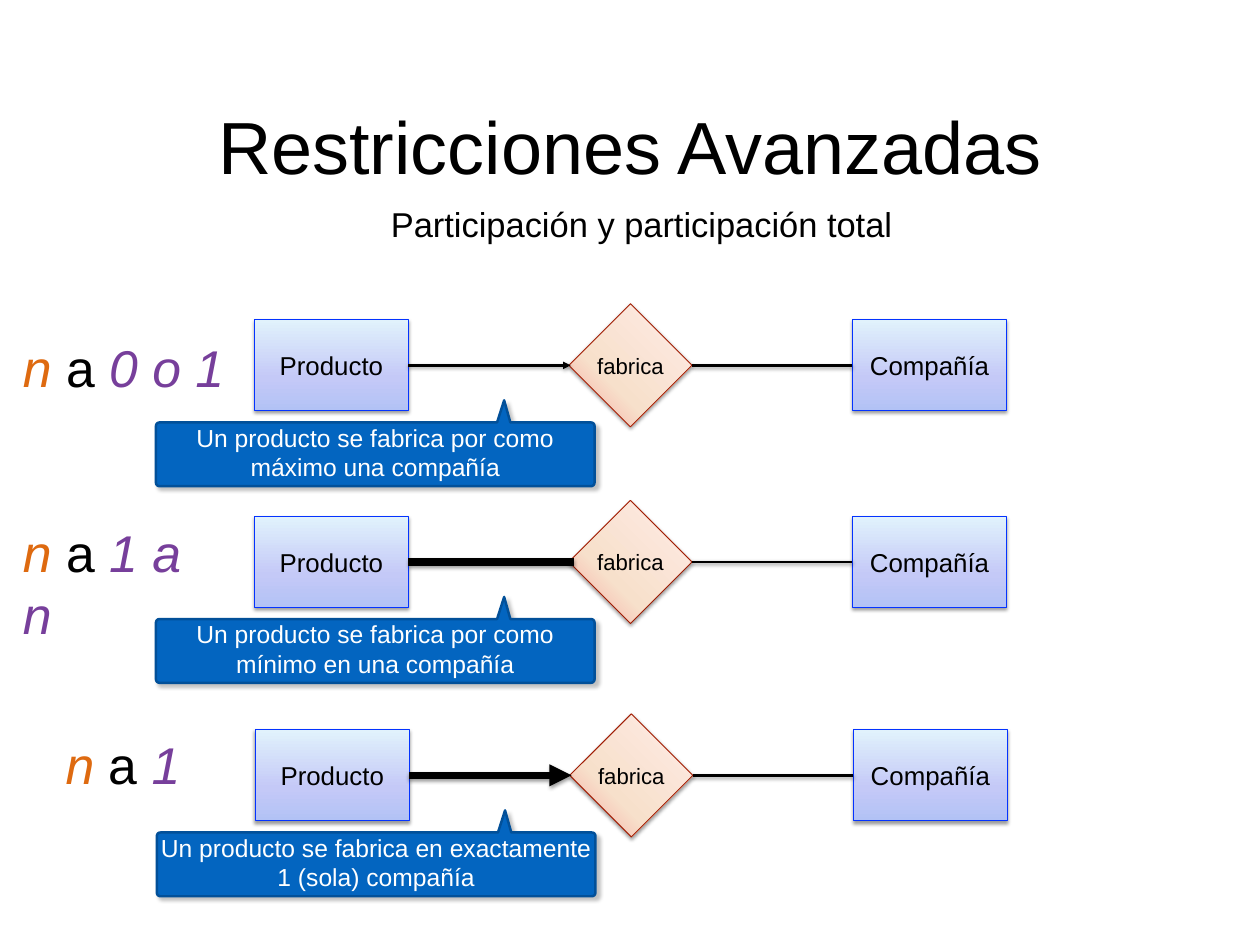
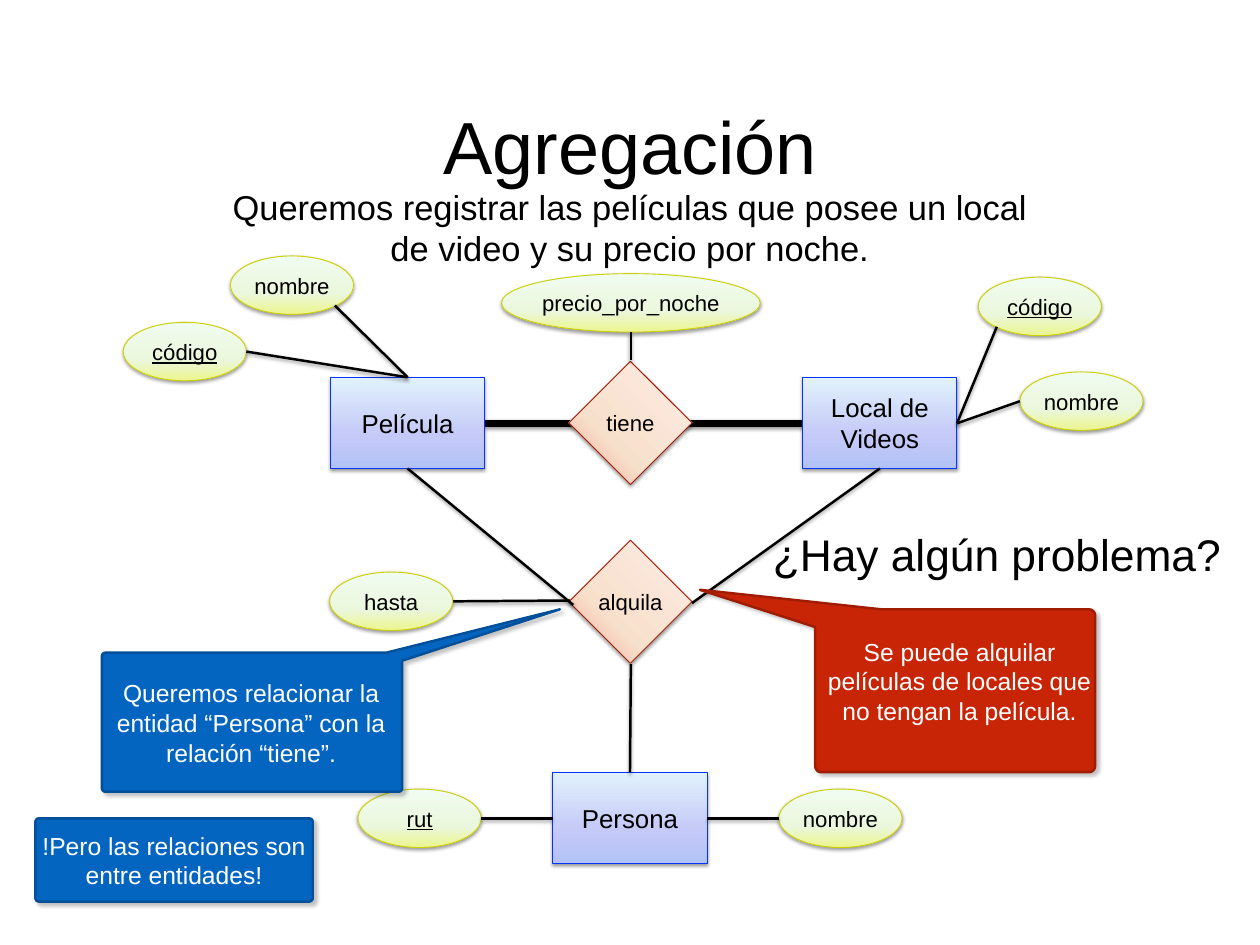
from copy import deepcopy
from math import cos, pi, sin

from lxml import etree
from pptx import Presentation
from pptx.dml.color import RGBColor
from pptx.enum.shapes import MSO_CONNECTOR, MSO_SHAPE
from pptx.enum.text import MSO_ANCHOR, PP_ALIGN
from pptx.oxml.ns import qn
from pptx.util import Inches, Pt

RECT, OVAL, RHOMB = MSO_SHAPE.RECTANGLE, MSO_SHAPE.OVAL, MSO_SHAPE.DIAMOND
STRAIGHT = MSO_CONNECTOR.STRAIGHT
TOP, MIDDLE = MSO_ANCHOR.TOP, MSO_ANCHOR.MIDDLE
LEFT, CENTER = PP_ALIGN.LEFT, PP_ALIGN.CENTER

FONT, BLACK, WHITE = "Arial", "000000", "FFFFFF"
ORANGE, PURPLE = "DE6A10", "773F9B"
BLUE, RED = ("0365C0", "025099"), ("C82506", "A01D04")  # fill, line

# Per kind of node: gradient stops, gradient angle, line, text size
LOOKS = {
    RECT: (((0, "B2C2F5"), (0.36, "C4C9F7"), (1, "E1F2FC")), 90, "0433FF", 21),
    RHOMB: (((0, "F5A09A"), (0.35, "F7E0CB"), (1, "FFEBE7")), 45, "A01D04", 18),
    OVAL: (((0, "ECF58E"), (0.36, "EAF7DC"), (1, "F1FCF1")), 90, "CCCF00", 18),
}
# Shadows: opacity %, distance pt, direction in degrees
SOFT, DEEP = (38, 1.6, 90), (24, 3.3, 44)
# Parts of a callout outline that its tail takes the place of
TOP_LEFT, TOP_EDGE, TOP_RIGHT = slice(0, 1), slice(1, 1), slice(1, 2)

BOX_W, BOX_H, SIDE, OVAL_H = 1.74, 1.03, 1.39, 0.66


def rgb(code):
    return RGBColor.from_string(code)


def shade(shape, look):
    """Add an outer shadow; call after fill and line are set."""
    alpha, dist, angle = look
    effect = etree.SubElement(shape._element.spPr, qn("a:effectLst"))
    outer = etree.SubElement(effect, qn("a:outerShdw"), blurRad=str(Pt(3)),
                             dist=str(Pt(dist)), dir=str(angle * 60000),
                             rotWithShape="0")
    tint = etree.SubElement(outer, qn("a:srgbClr"), val=BLACK)
    etree.SubElement(tint, qn("a:alpha"), val=str(alpha * 1000))


def style(run, size, color=BLACK, italic=False, under=False):
    font = run.font
    font.name, font.size, font.color.rgb = FONT, Pt(size), rgb(color)
    font.italic, font.underline = italic, under


def frame(shape, pads=(0, 0, 0, 0), anchor=MIDDLE, align=CENTER, wrap=True):
    text = shape.text_frame
    text.word_wrap, text.vertical_anchor = wrap, anchor
    (text.margin_left, text.margin_top,
     text.margin_right, text.margin_bottom) = map(Inches, pads)
    text.paragraphs[0].alignment = align
    return text


def write(shape, words, size, color=BLACK, under=False, **layout):
    shape.text_frame.text = words
    text = frame(shape, **layout)
    style(text.paragraphs[0].runs[0], size, color, under=under)


def label(slide, words, x, y, w, h, size):
    box = slide.shapes.add_textbox(*map(Inches, (x, y, w, h)))
    write(box, words, size, pads=(0.06,) * 4)


def ratio(slide, many, x, y, w):
    """Cardinality caption: orange n, black a, purple limit."""
    box = slide.shapes.add_textbox(*map(Inches, (x, y, w, 0.68)))
    para = frame(box, anchor=TOP, align=LEFT).paragraphs[0]
    for words, color in (("n", ORANGE), (" a ", BLACK), (many, PURPLE)):
        run = para.add_run()
        run.text = words
        style(run, 42, color, italic=color != BLACK)


def node(slide, kind, words, x, y, w, h, under=False):
    stops, angle, edge, size = LOOKS[kind]
    shape = slide.shapes.add_shape(kind, *map(Inches, (x, y, w, h)))
    shape.fill.gradient()
    shape.fill.gradient_angle = angle
    group = shape._element.spPr.find(qn("a:gradFill")).find(qn("a:gsLst"))
    group.append(deepcopy(group[0]))
    for stop, (place, color) in zip(shape.fill.gradient_stops, stops):
        stop.position, stop.color.rgb = place, rgb(color)
    shape.line.color.rgb, shape.line.width = rgb(edge), Pt(0.75)
    shade(shape, SOFT)
    write(shape, words, size, under=under, wrap=kind == RECT)


def entity(slide, words, x, y):
    node(slide, RECT, words, x, y, BOX_W, BOX_H)


def bond(slide, words, x, y):
    node(slide, RHOMB, words, x, y, SIDE, SIDE)


def trait(slide, words, x, y, w=SIDE, key=False):
    node(slide, OVAL, words, x, y, w, OVAL_H, key)


def link(slide, x1, y1, x2, y2, width=2, arrow=False):
    line = slide.shapes.add_connector(STRAIGHT, *map(Inches, (x1, y1, x2, y2)))
    line.line.color.rgb, line.line.width = rgb(BLACK), Pt(width)
    if arrow:
        stroke = line._element.spPr.find(qn("a:ln"))
        etree.SubElement(stroke, qn("a:tailEnd"), type="triangle")
    shade(line, SOFT)


def corner(x, y, r, start):
    """Points of a clockwise quarter arc around x, y."""
    turns = [start + step * pi / 8 for step in range(5)]
    return [(x + r * cos(t), y + r * sin(t)) for t in turns]


def callout(slide, words, x, y, w, h, colors=BLUE, tail=(), spot=TOP_EDGE,
            pads=(0, 0, 0, 0), r=0.04):
    left, upper, right, lower = x + r, y + r, x + w - r, y + h - r
    parts = [corner(left, upper, r, pi), corner(right, upper, r, 1.5 * pi),
             corner(right, lower, r, 0), corner(left, lower, r, pi / 2)]
    if tail:
        parts[spot] = [tail]
    dots = [(Inches(a), Inches(b)) for part in parts for a, b in part]
    pen = slide.shapes.build_freeform(*dots[0])
    pen.add_line_segments(dots[1:], close=True)
    shape = pen.convert_to_shape()
    shape.fill.solid()
    shape.fill.fore_color.rgb = rgb(colors[0])
    shape.line.color.rgb, shape.line.width = rgb(colors[1]), Pt(2)
    shade(shape, DEEP)
    write(shape, words, 20, WHITE, pads=pads)


def start(deck, title):
    slide = deck.slides.add_slide(deck.slide_layouts[5])
    head = slide.shapes.title
    head.left, head.top, head.width, head.height = map(
        Inches, (2.14, 1.09, 9.94, 1.09))
    write(head, title, 60, pads=(0.06,) * 4)
    return slide


def row(slide, x, y, words, end, width, arrow):
    """Producto - fabrica - Compañía, with its explanation below."""
    mid = y + BOX_H / 2
    entity(slide, "Producto", x, y)
    bond(slide, "fabrica", x + 3.55, y - 0.18)
    entity(slide, "Compañía", x + 6.75, y)
    link(slide, x + BOX_W, mid, end, mid, width, arrow)
    link(slide, x + 4.94, mid, x + 6.75, mid)
    base = y + 1.16
    tail = [(x + 2.74, base), (x + 2.82, base - 0.25), (x + 2.89, base)]
    callout(slide, words, x - 1.11, base, 4.95, 0.72, tail=tail,
            pads=(0, 0.2, 0, 0))


def limits(deck):
    slide = start(deck, "Restricciones Avanzadas")
    label(slide, "Participación y participación total",
          3.96, 2.24, 6.56, 0.57, 28)
    row(slide, 2.87, 3.61, "Un producto se fabrica por como máximo una compañía",
        6.44, 2, True)
    row(slide, 2.87, 5.83, "Un producto se fabrica por como mínimo en una compañía",
        6.48, 6, False)
    row(slide, 2.88, 8.24,
        "Un producto se fabrica en exactamente 1 (sola) compañía",
        6.45, 6, True)
    ratio(slide, "0 o 1", 0.26, 3.79, 2.4)
    ratio(slide, "1 a n", 0.26, 5.88, 2.1)
    ratio(slide, "1", 0.74, 8.27, 1.4)


def union(deck):
    slide = start(deck, "Agregación")
    # Links that run behind the diamonds
    link(slide, 6.5, 6.78, 5.11, 6.79)
    link(slide, 5.47, 4.78, 9.06, 4.78, 6)
    # Entities and relations
    entity(slide, "Película", 3.73, 4.26)
    entity(slide, "Local de Videos", 9.06, 4.26)
    entity(slide, "Persona", 6.24, 8.72)
    bond(slide, "tiene", 6.42, 4.08)
    bond(slide, "alquila", 6.42, 6.1)
    # Attributes; keys are underlined
    for words, x, y in (("código", 1.39, 3.64), ("código", 11.04, 3.13),
                        ("rut", 4.04, 8.91)):
        trait(slide, words, x, y, key=True)
    for words, x, y in (("nombre", 2.6, 2.89), ("nombre", 11.51, 4.2),
                        ("hasta", 3.72, 6.46), ("nombre", 8.79, 8.91)):
        trait(slide, words, x, y)
    trait(slide, "precio_por_noche", 5.66, 3.09, 2.92)
    # Links in front
    for ends in ((4.6, 5.29, 6.47, 6.83), (7.81, 6.81, 9.93, 5.29),
                 (7.12, 7.5, 7.11, 8.72), (2.78, 3.97, 4.6, 4.26),
                 (3.78, 3.45, 4.6, 4.26), (7.12, 3.75, 7.12, 4.07),
                 (11.25, 3.69, 10.8, 4.78), (11.51, 4.53, 10.8, 4.78),
                 (6.24, 9.24, 5.43, 9.24), (8.79, 9.24, 7.98, 9.24)):
        link(slide, *ends)
    # Remarks
    label(slide, "¿Hay algún problema?", 8.34, 5.89, 5.82, 0.72, 36)
    callout(slide, "Se puede alquilar películas de locales que no tengan la película.",
            9.2, 6.88, 3.16, 1.84, RED,
            [(9.2, 7.08), (7.9, 6.66), (9.94, 6.88)], TOP_LEFT,
            (1.4, 0, 0, 0), 0.07)
    callout(slide,
            "Queremos relacionar la entidad “Persona” con la relación “tiene”.",
            1.15, 7.37, 3.39, 1.57,
            tail=[(4.36, 7.37), (6.32, 6.88), (4.54, 7.46)], spot=TOP_RIGHT,
            pads=(0, 0.5, 1.8, 0))
    callout(slide, "!Pero las relaciones son entre entidades!",
            0.4, 9.24, 3.13, 0.94)
    label(slide, "Queremos registrar las películas que posee un local "
          "de video y su precio por noche.", 2.56, 2.04, 9.09, 1.05, 28)


def main():
    deck = Presentation()
    deck.slide_width, deck.slide_height = Inches(14.22), Inches(10.67)
    limits(deck)
    union(deck)
    deck.save("out.pptx")


main()
